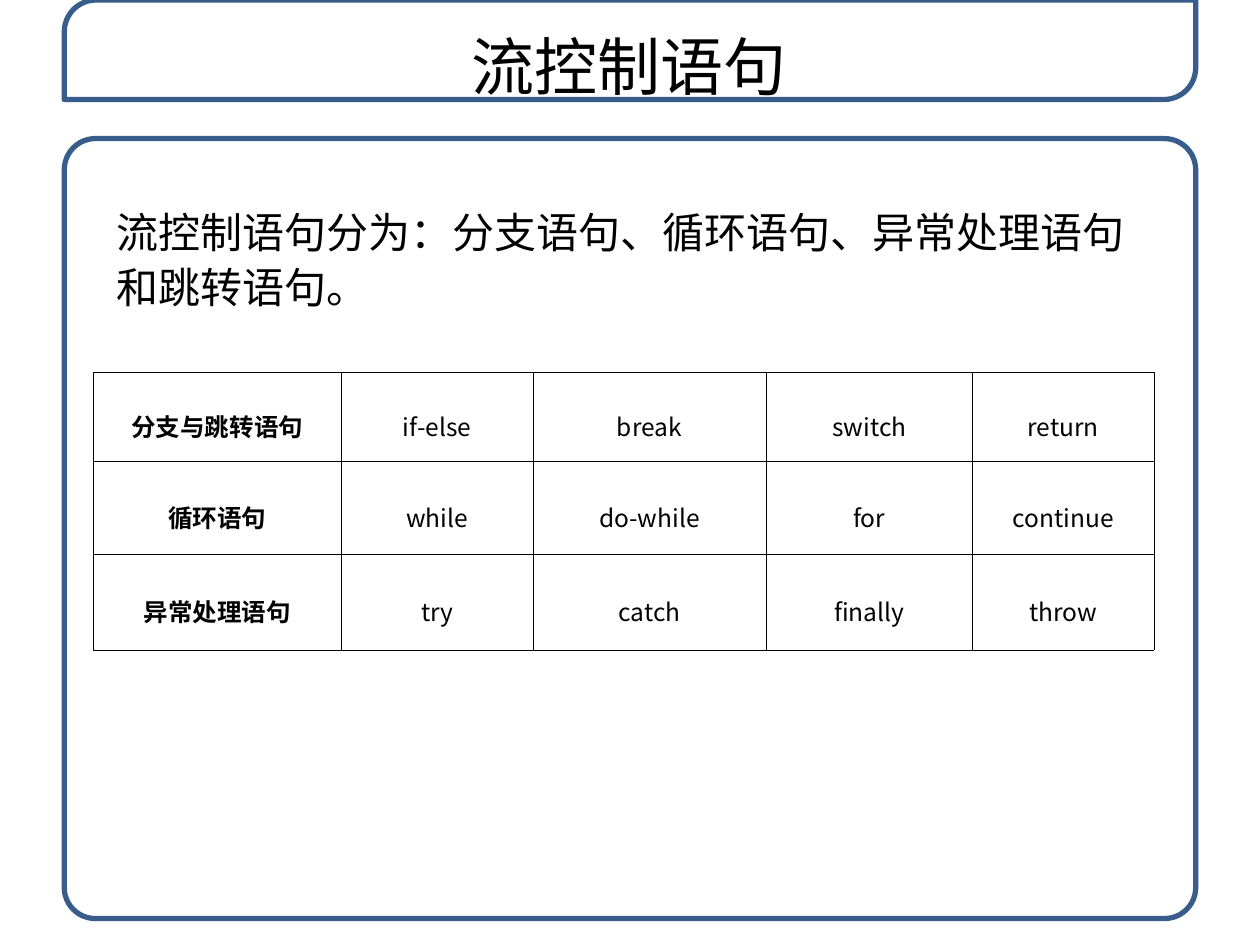
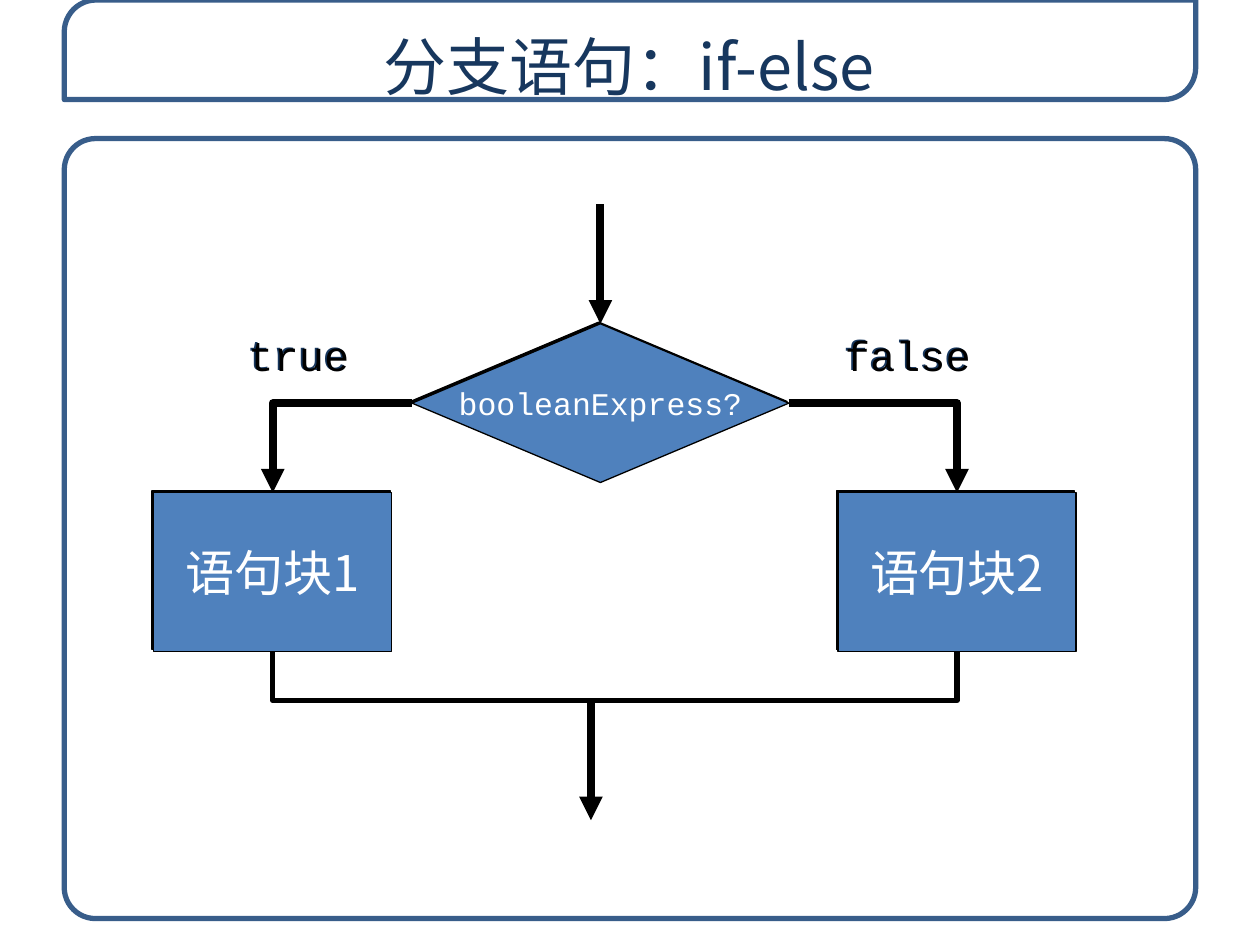
from lxml import etree
from pptx import Presentation
from pptx.dml.color import RGBColor
from pptx.enum.shapes import MSO_CONNECTOR, MSO_SHAPE
from pptx.enum.text import MSO_ANCHOR, PP_ALIGN
from pptx.oxml.ns import qn
from pptx.util import Inches, Pt

LEFT, CENTER, RIGHT = PP_ALIGN.LEFT, PP_ALIGN.CENTER, PP_ALIGN.RIGHT
MIDDLE, TOP = MSO_ANCHOR.MIDDLE, MSO_ANCHOR.TOP
RECTANGLE, DIAMOND = MSO_SHAPE.RECTANGLE, MSO_SHAPE.DIAMOND
ROUNDED, DIAGONAL = MSO_SHAPE.ROUNDED_RECTANGLE, MSO_SHAPE.ROUND_2_DIAG_RECTANGLE
STRAIGHT, ELBOW = MSO_CONNECTOR.STRAIGHT, MSO_CONNECTOR.ELBOW

BLACK, WHITE, NAVY = "000000", "FFFFFF", "17375E"
FRAME_BLUE, NODE_BLUE = "385D8A", "4F81BD"
SANS, MONO = "Noto Sans CJK SC", "Courier New"

# Content: statement overview
OVERVIEW_TITLE = "流控制语句"
OVERVIEW_TEXT = "流控制语句分为：分支语句、循环语句、异常处理语句和跳转语句。"
STATEMENTS = [
    ["分支与跳转语句", "if-else", "break", "switch", "return"],
    ["循环语句", "while", "do-while", "for", "continue"],
    ["异常处理语句", "try", "catch", "finally", "throw"],
]
COLUMN_WIDTHS = [1.97, 1.52, 1.85, 1.64, 1.44]
ROW_HEIGHTS = [0.71, 0.74, 0.76]

# Content: if-else flow chart
BRANCH_TITLE = "分支语句：if-else"
DECISION = (3.27, 2.57, 2.99, 1.26)
BLOCK_1 = (1.22, 3.91, 1.89, 1.26)
BLOCK_2 = (6.65, 3.91, 1.89, 1.26)
NODES = [
    (DIAMOND, DECISION, "booleanExpress?", 18, MONO),
    (RECTANGLE, BLOCK_1, "语句块1", 28, SANS),
    (RECTANGLE, BLOCK_2, "语句块2", 28, SANS),
]
BRANCH_LABELS = [
    ((1.77, 2.57, 1.1, 0.5), "true", RIGHT),
    ((6.42, 2.57, 1.57, 0.5), "false", CENTER),
]
ARROW_LENGTH = 0.95
MERGE_X, MERGE_Y = 4.69, 5.56


def color(value):
    return RGBColor.from_string(value)


def inches(box):
    return [Inches(value) for value in box]


def add_xml(parent, tag, **attributes):
    return etree.SubElement(parent, qn(tag), attributes)


def write(frame, text, size, font=SANS, ink=BLACK, align=CENTER, bold=False):
    paragraph = frame.paragraphs[0]
    paragraph.text = text
    paragraph.alignment = align
    paragraph.font.name = font
    paragraph.font.size = Pt(size)
    paragraph.font.bold = bold
    paragraph.font.color.rgb = color(ink)
    properties = paragraph._p.find(".//" + qn("a:defRPr"))
    add_xml(properties, "a:ea", typeface=font)
    return paragraph


def add_text(slide, box, text, size, anchor=TOP, **style):
    shape = slide.shapes.add_textbox(*inches(box))
    shape.text_frame.word_wrap = True
    shape.text_frame.vertical_anchor = anchor
    return shape, write(shape.text_frame, text, size, **style)


def add_box(slide, kind, box, fill, line, width):
    shape = slide.shapes.add_shape(kind, *inches(box))
    shape.fill.solid()
    shape.fill.fore_color.rgb = color(fill)
    shape.line.color.rgb = color(line)
    shape.line.width = Pt(width)
    shape.shadow.inherit = False
    return shape


def cast_shadow(shape, ink):
    """Hard shadow, offset to the upper left."""
    shape.shadow.inherit = False
    effects = shape._element.spPr.find(qn("a:effectLst"))
    shadow = add_xml(effects, "a:outerShdw", dist=str(Pt(1.4)),
                     dir=str(225 * 60000), algn="ctr", rotWithShape="0")
    add_xml(shadow, "a:srgbClr", val=ink)


def add_line(slide, kind, start, end, width=4.5, arrow=True):
    """Connector; an elbow runs sideways first, then up or down."""
    connector = slide.shapes.add_connector(kind, *inches(start + end))
    connector.line.color.rgb = color(BLACK)
    connector.line.width = Pt(width)
    properties = connector._element.spPr
    if kind == ELBOW:
        properties.find(qn("a:prstGeom")).set("prst", "bentConnector2")
    if arrow:
        add_xml(properties.find(qn("a:ln")), "a:tailEnd", type="triangle")
    add_xml(properties, "a:effectLst")


def add_framed_slide(presentation, title, ink):
    slide = presentation.slides.add_slide(presentation.slide_layouts[6])
    body = add_box(slide, ROUNDED, (0.51, 1.1, 8.98, 6.19), WHITE, FRAME_BLUE, 3)
    body.adjustments[0] = 0.04
    band = add_box(slide, DIAGONAL, (0.51, 0, 8.98, 0.79), WHITE, FRAME_BLUE, 3)
    band.adjustments[0] = 0.32
    band.adjustments[1] = 0
    _, paragraph = add_text(slide, (0.51, 0.14, 8.97, 0.76), title, 36,
                            anchor=MIDDLE, ink=ink)
    paragraph.line_spacing = Pt(43)
    return slide


def add_statement_table(slide):
    box = (0.74, 2.95, sum(COLUMN_WIDTHS), sum(ROW_HEIGHTS))
    table = slide.shapes.add_table(len(ROW_HEIGHTS), len(COLUMN_WIDTHS),
                                   *inches(box)).table
    table.first_row = table.horz_banding = False
    for column, width in zip(table.columns, COLUMN_WIDTHS):
        column.width = Inches(width)
    for row, height, texts in zip(table.rows, ROW_HEIGHTS, STATEMENTS):
        row.height = Inches(height)
        for index, (cell, text) in enumerate(zip(row.cells, texts)):
            cell.vertical_anchor = MIDDLE
            paragraph = write(cell.text_frame, text, 14, bold=index == 0)
            paragraph.line_spacing = 1.5
            paragraph.space_before = paragraph.space_after = Pt(3.5)
            for side in "LRTB":
                border = add_xml(cell._tc.get_or_add_tcPr(), "a:ln" + side,
                                 w=str(Pt(0.23)))
                add_xml(add_xml(border, "a:solidFill"), "a:srgbClr", val=BLACK)
            cell.fill.background()


def add_flow_chart(slide):
    for kind, box, text, size, font in NODES:
        node = add_box(slide, kind, box, NODE_BLUE, BLACK, 0.75)
        cast_shadow(node, BLACK)
        node.text_frame.word_wrap = False
        node.text_frame.vertical_anchor = MIDDLE
        write(node.text_frame, text, size, font, WHITE)

    # Entry and exit arrows
    left, top, width, height = DECISION
    entry_x, middle_y = left + width / 2, top + height / 2
    for x, y in [(entry_x, top - ARROW_LENGTH), (MERGE_X, MERGE_Y)]:
        add_line(slide, STRAIGHT, (x, y), (x, y + ARROW_LENGTH))

    # Branches from the decision to each block and on to the merge point
    for corner_x, block in [(left, BLOCK_1), (left + width, BLOCK_2)]:
        block_left, block_top, block_width, block_height = block
        block_x = block_left + block_width / 2
        add_line(slide, ELBOW, (corner_x, middle_y), (block_x, block_top))
        add_line(slide, ELBOW, (MERGE_X, MERGE_Y),
                 (block_x, block_top + block_height), width=3, arrow=False)

    for box, text, align in BRANCH_LABELS:
        label, _ = add_text(slide, box, text, 24, font=MONO, align=align)
        cast_shadow(label, NAVY)


def main():
    presentation = Presentation()
    presentation.slide_width, presentation.slide_height = inches((10, 7.5))

    overview = add_framed_slide(presentation, OVERVIEW_TITLE, BLACK)
    _, paragraph = add_text(overview, (0.83, 1.55, 8.27, 0.98), OVERVIEW_TEXT,
                            24, align=LEFT)
    paragraph.line_spacing = Pt(31.4)
    add_statement_table(overview)

    add_flow_chart(add_framed_slide(presentation, BRANCH_TITLE, NAVY))
    presentation.save("out.pptx")


if __name__ == "__main__":
    main()
